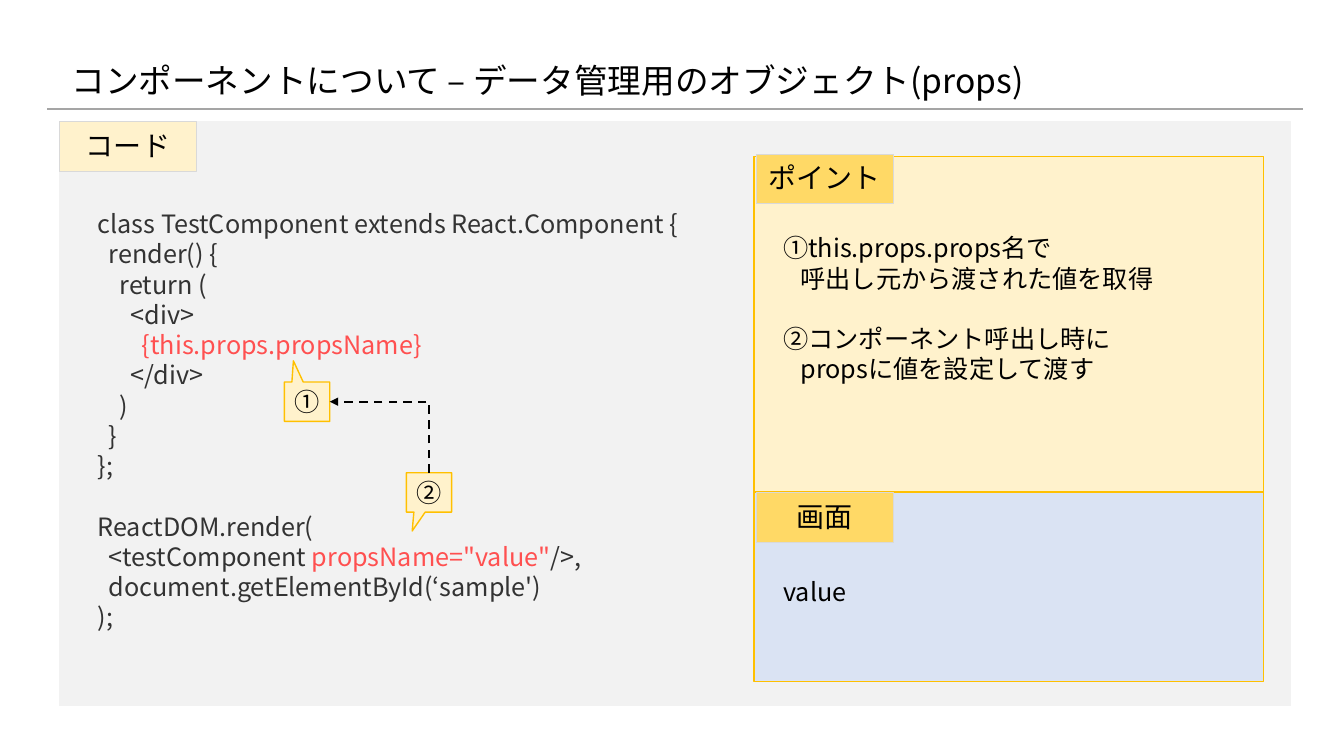
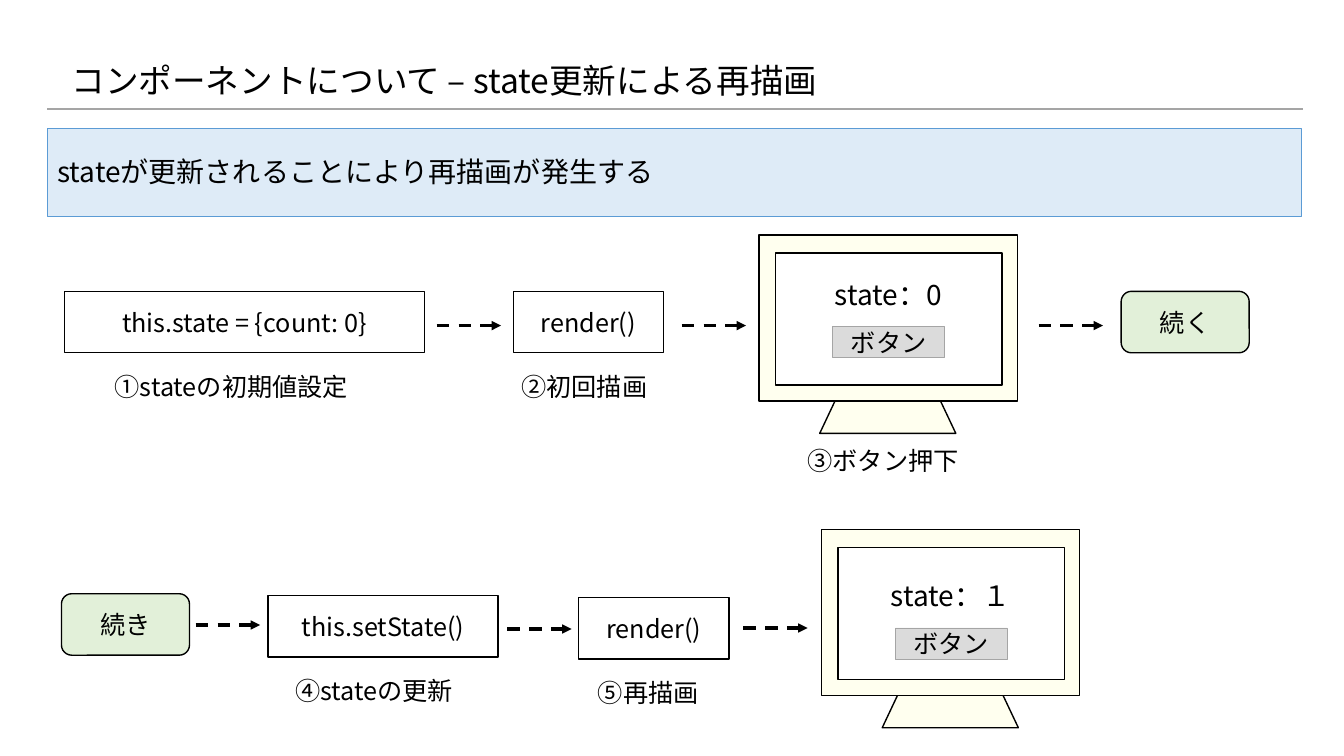
from pptx import Presentation
from pptx import util as u
from pptx.dml.color import RGBColor
from pptx.enum import dml, shapes, text
from pptx.oxml.ns import qn
from lxml import etree


# Theme
class Theme:
    font = "Noto Sans CJK JP"
    title, head, body = 24, 20, 18
    leading, tight = 1.2, 1.08      # line pitch as a share of the type size
    ink, code, accent = "000000", "333333", "FF5050"
    white, rule, panel, edge = "FFFFFF", "A5A5A5", "F2F2F2", "D9D9D9"
    cream, gold, tab, screen = "FFF2CC", "FFC000", "FFD966", "DAE3F3"
    banner, banner_edge = "DEEBF7", "5B9BD5"
    ivory, button, green = "FFFFEF", "DBDBDB", "E2F0D9"


W, H = 13.33, 7.5
SHAPE = shapes.MSO_SHAPE
LEFT, CENTER = text.PP_ALIGN.LEFT, text.PP_ALIGN.CENTER

# Content: lines are (indent level, text or coloured runs, blank line before)
TITLES = ("コンポーネントについて – データ管理用のオブジェクト(props)",
          "コンポーネントについて – state更新による再描画")
CODE = [
    (0, "class TestComponent extends React.Component {", False),
    (1, "render() {", False),
    (2, "return (", False),
    (3, "<div>", False),
    (4, [("{this.props.propsName}", Theme.accent)], False),
    (3, "</div>", False),
    (2, ")", False),
    (1, "}", False),
    (0, "};", False),
    (0, "ReactDOM.render(", True),
    (1, [("<testComponent ", Theme.code), ('propsName="value"', Theme.accent),
         ("/>,", Theme.code)], False),
    (1, "document.getElementById(‘sample')", False),
    (0, ");", False),
]
POINTS = [
    (0, "①this.props.props名で", False),
    (1, "呼出し元から渡された値を取得", False),
    (0, "②コンポーネント呼出し時に", True),
    (1, "propsに値を設定して渡す", False),
]
BANNER = "stateが更新されることにより再描画が発生する"
# Steps: text, left, top, width
STEPS = [("this.state = {count: 0}", 0.64, 2.89, 3.57), ("render()", 5.09, 2.89, 1.49),
         ("this.setState()", 2.66, 5.91, 2.28), ("render()", 5.74, 5.93, 1.49)]
LINKS = [("続く", 11.12, 2.89), ("続き", 0.61, 5.89)]
# Captions: text, left, top, width
CAPTIONS = [("①stateの初期値設定", 0.99, 3.63, 2.61), ("②初回描画", 5.04, 3.63, 1.51),
            ("③ボタン押下", 7.88, 4.37, 1.76), ("④stateの更新", 2.77, 6.65, 1.88),
            ("⑤再描画", 5.72, 6.67, 1.42)]
# Monitors: text, left, top, drop of the screen content
MONITORS = [("state：0", 7.53, 2.33, 0), ("state：1", 8.15, 5.25, 0.07)]
MONITORS[1] = ("state：１",) + MONITORS[1][1:]
ARROWS = [(4.33, 3.23), (6.76, 3.23), (10.3, 3.23), (1.94, 6.2), (5.03, 6.24), (7.37, 6.23)]
STEP_H, LINK_W, ARROW_W = 0.61, 1.27, 0.64


# Helpers
def rgb(value):
    return RGBColor.from_string(value)


def inches(*values):
    return [u.Inches(v) for v in values]


def style(p, size, color=Theme.ink, align=LEFT, leading=Theme.leading):
    p.alignment = align
    p.line_spacing = u.Pt(round(size * leading, 2))
    p.font.size, p.font.name = u.Pt(size), Theme.font
    p.font.color.rgb = rgb(color)
    ea = etree.SubElement(p.font._element, qn("a:ea"))
    ea.set("typeface", Theme.font)


def write(sp, lines, size=Theme.body, color=Theme.ink, align=LEFT,
          leading=Theme.leading, step=0.0):
    tf = sp.text_frame
    tf.word_wrap = True
    for i, (level, content, gap) in enumerate(lines):
        p = tf.add_paragraph() if i else tf.paragraphs[0]
        runs = [(content, None)] if isinstance(content, str) else content
        for words, run_color in runs:
            r = p.add_run()
            r.text = words
            if run_color:
                r.font.color.rgb = rgb(run_color)
        style(p, size, color, align, leading)
        if level:
            p._p.get_or_add_pPr().set("marL", str(u.Inches(level * step)))
        if gap:
            p.space_before = u.Pt(size * leading)


def add_text(s, box, lines, **kw):
    sp = s.shapes.add_textbox(*inches(*box))
    write(sp, lines, **kw)


def add_box(s, box, fill=None, line=Theme.ink, width=1, words=None,
            kind=SHAPE.RECTANGLE, adj=(), align=CENTER, **kw):
    sp = s.shapes.add_shape(kind, *inches(*box))
    sp.shadow.inherit = False
    if fill:
        sp.fill.solid()
        sp.fill.fore_color.rgb = rgb(fill)
    else:
        sp.fill.background()
    sp.line.color.rgb = rgb(line)
    sp.line.width = u.Pt(width)
    for i, value in enumerate(adj):
        sp.adjustments[i] = value
    if words:
        sp.text_frame.vertical_anchor = text.MSO_ANCHOR.MIDDLE
        write(sp, [(0, words, False)], align=align, **kw)
    return sp


def add_line(s, ends, color=Theme.ink, width=2.25, arrow=True,
             kind=shapes.MSO_CONNECTOR.STRAIGHT):
    c = s.shapes.add_connector(kind, *inches(*ends))
    c.line.color.rgb = rgb(color)
    c.line.width = u.Pt(width)
    if arrow:
        c.line.dash_style = dml.MSO_LINE.DASH
        etree.SubElement(c.line._get_or_add_ln(), qn("a:tailEnd")).set("type", "triangle")
    etree.SubElement(c._element.spPr, qn("a:effectLst"))
    return c


def add_tab(s, left, top, words, fill):
    add_box(s, (left, top, 1.36, 0.49), fill, Theme.edge, 0.75, words,
            size=Theme.head, leading=Theme.tight)


def add_callout(s, left, top, words, tip):
    return add_box(s, (left, top, 0.45, 0.39), Theme.cream, Theme.gold, 1, words,
                   SHAPE.RECTANGULAR_CALLOUT, tip)


def add_elbow(s, start, end):
    """Dashed arrow that leaves the top of start and enters the right of end."""
    c = add_line(s, (0, 0, 1, 1), width=1.5, kind=shapes.MSO_CONNECTOR.ELBOW)
    c.begin_connect(start, 0)
    c.end_connect(end, 3)
    x1, y1 = start.left + start.width // 2, start.top
    x2, y2 = end.left + end.width, end.top + end.height // 2
    across, up = x1 - x2, y1 - y2
    c.left, c.top = (x1 + x2 - up) // 2, (y1 + y2 - across) // 2
    c.width, c.height = up, across
    c.rotation = 270
    xfrm = c._element.spPr.find(qn("a:xfrm"))
    xfrm.set("flipH", "0")
    xfrm.set("flipV", "1")
    c._element.spPr.find(qn("a:prstGeom")).set("prst", "bentConnector2")


def add_monitor(s, words, left, top, drop):
    add_box(s, (left + 0.6, top + 0.54, 1.35, 1.43), Theme.ivory,
            kind=SHAPE.TRAPEZOID, adj=(0.6,))
    add_box(s, (left, top, 2.56, 1.65), Theme.ivory)
    add_box(s, (left + 0.16, top + 0.18, 2.25, 1.31), Theme.white)
    add_text(s, (left + 0.54, top + 0.37 + drop, 1.48, 0.44), [(0, words, False)],
             size=Theme.head, align=CENTER)
    add_box(s, (left + 0.73, top + 0.91 + drop, 1.11, 0.31), Theme.button,
            Theme.rule, 0.5, "ボタン")


# Shared layout: title place and rule below it
prs = Presentation()
prs.slide_width, prs.slide_height = inches(W, H)
layout = prs.slide_layouts[5]
heading = layout.placeholders[0]
heading.left, heading.top, heading.width, heading.height = inches(0.61, 0.31, 10.7, 1)


def add_slide(title):
    s = prs.slides.add_slide(layout)
    s.shapes.title.text_frame.vertical_anchor = text.MSO_ANCHOR.MIDDLE
    write(s.shapes.title, [(0, title, False)], size=Theme.title, leading=Theme.tight)
    return s


props, state = [add_slide(title) for title in TITLES]
rule = add_line(props, (0.47, 1.08, 12.92, 1.08), Theme.rule, 1.5, arrow=False)
layout.shapes._spTree.append(rule._element)

# Props slide: code panel
add_box(props, (0.59, 1.21, 12.21, 5.79), Theme.panel, Theme.panel, 0.75)
add_tab(props, 0.59, 1.21, "コード", Theme.cream)
add_text(props, (0.87, 2.02, 6.86, 4.34), CODE, color=Theme.code, step=0.11)
first = add_callout(props, 2.82, 3.79, "①", (-0.3, -1.04))
second = add_callout(props, 4.03, 4.69, "②", (-0.37, 0.98))
add_elbow(props, second, first)

# Props slide: points above, screen below
for top, height, fill, tab_top, name, text_top, text_h, lines in (
        (1.55, 3.34, Theme.cream, 1.53, "ポイント", 2.26, 1.92, POINTS),
        (4.88, 1.88, Theme.screen, 4.89, "画面", 5.67, 0.71, [(0, "value", False)])):
    add_box(props, (7.48, top, 5.05, height), fill, Theme.gold)
    add_text(props, (7.67, text_top, 4.68, text_h), lines, step=0.17)
    add_tab(props, 7.5, tab_top, name, Theme.tab)

# State slide: banner and flow
add_box(state, (0.47, 1.28, 12.44, 0.87), Theme.banner, Theme.banner_edge, 0.75, BANNER,
        align=LEFT, size=Theme.head, leading=Theme.tight)
for monitor in MONITORS:
    add_monitor(state, *monitor)
for words, left, top, width in STEPS:
    add_box(state, (left, top, width, STEP_H), words=words)
for words, left, top in LINKS:
    add_box(state, (left, top, LINK_W, STEP_H), Theme.green, words=words,
            kind=SHAPE.ROUNDED_RECTANGLE)
for words, left, top, width in CAPTIONS:
    add_text(state, (left, top, width, 0.4), [(0, words, False)], align=CENTER)
for left, y in ARROWS:
    add_line(state, (left, y, left + ARROW_W, y))

prs.save("out.pptx")
